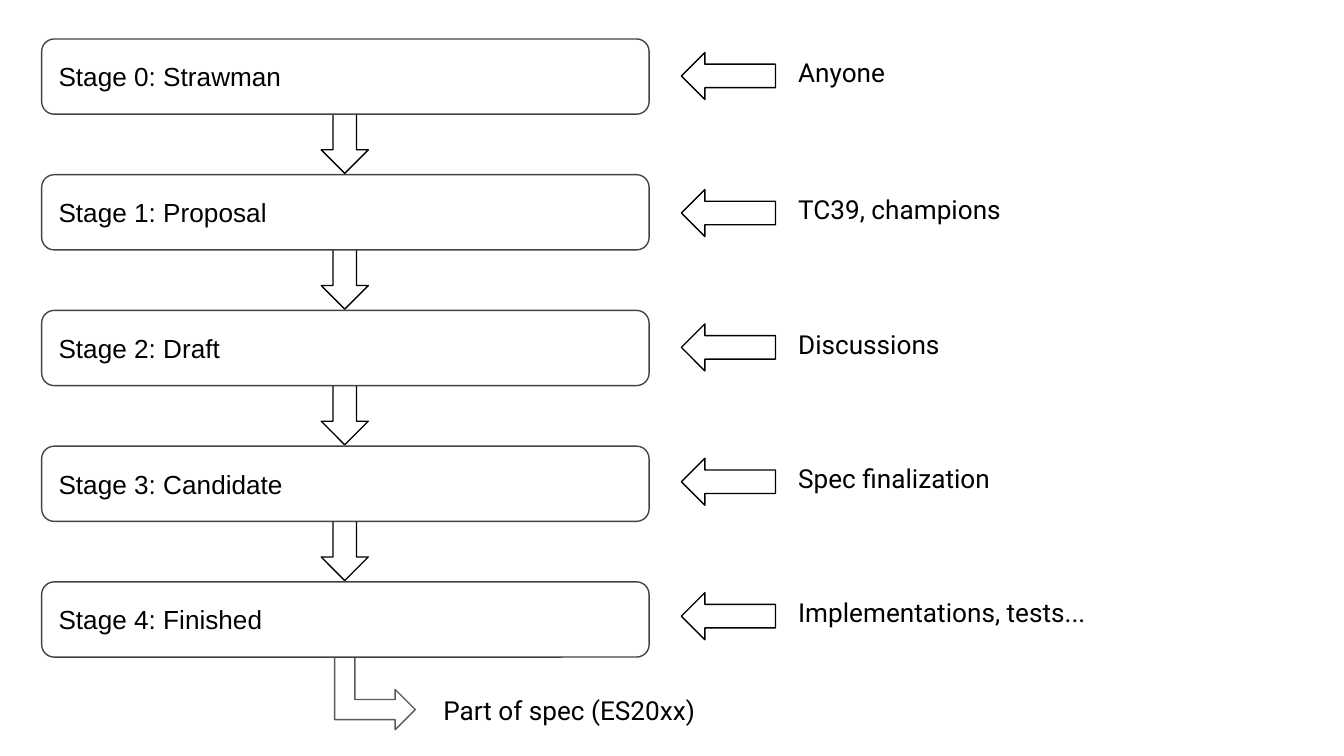
from pptx import Presentation
from pptx.dml.color import RGBColor
from pptx.enum.shapes import MSO_SHAPE
from pptx.enum.text import MSO_ANCHOR, PP_ALIGN
from pptx.util import Inches, Pt

BOX = MSO_SHAPE.ROUNDED_RECTANGLE
DOWN = MSO_SHAPE.DOWN_ARROW
LEFT = MSO_SHAPE.LEFT_ARROW
BENT = MSO_SHAPE.BENT_UP_ARROW
TOP, MIDDLE = MSO_ANCHOR.TOP, MSO_ANCHOR.MIDDLE
START = PP_ALIGN.LEFT

# stage, who acts, top of the side arrow, width of the side label
STAGES = [
    ("Stage 0: Strawman", "Anyone", 0.39, 0.9),
    ("Stage 1: Proposal", "TC39, champions", 1.41, 2.79),
    ("Stage 2: Draft", "Discussions", 2.41, 1.33),
    ("Stage 3: Candidate", "Spec finalization", 3.41, 2.7),
    ("Stage 4: Finished", "Implementations, tests...", 4.41, 2.7),
]
RESULT = "Part of spec (ES20xx)"

THEME = {
    "ink": RGBColor(0, 0, 0),
    "paper": RGBColor(255, 255, 255),
    "edge": RGBColor(0x43, 0x43, 0x43),
    "bend": RGBColor(0x59, 0x59, 0x59),
    "size": Pt(14),
    "line": Pt(0.75),
    "stage": "Arial",
    "label": "Roboto",
}

BOX_X, BOX_Y, BOX_W, BOX_H = 0.31, 0.29, 4.52, 0.56
STEP = 1.01
ARROW_L, ARROW_W = 0.7, 0.35
DOWN_X, DOWN_DY = 2.39, 0.3
SIDE_X, LABEL_X, LABEL_H, LABEL_DY = 5.07, 5.84, 0.49, 0.07


def add_shape(kind, x, y, w, h, line, fill=None):
    shape = slide.shapes.add_shape(kind, Inches(x), Inches(y), Inches(w), Inches(h))
    shape.shadow.inherit = False
    if fill is None:
        shape.fill.background()
    else:
        shape.fill.solid()
        shape.fill.fore_color.rgb = fill
    shape.line.color.rgb = line
    shape.line.width = THEME["line"]
    return shape


def set_text(shape, text, font, anchor):
    frame = shape.text_frame
    frame.text = text
    frame.word_wrap = True
    frame.vertical_anchor = anchor
    frame.margin_left = frame.margin_right = Inches(0.1)
    frame.margin_top = frame.margin_bottom = Inches(0.1)
    para = frame.paragraphs[0]
    para.alignment = START
    face = para.runs[0].font
    face.name = font
    face.size = THEME["size"]
    face.color.rgb = THEME["ink"]


def add_label(text, x, y, w):
    box = slide.shapes.add_textbox(Inches(x), Inches(y), Inches(w), Inches(LABEL_H))
    set_text(box, text, THEME["label"], TOP)


deck = Presentation()
deck.slide_width = Inches(10)
deck.slide_height = deck.slide_width * 9 // 16
slide = deck.slides.add_slide(deck.slide_layouts[6])

# Arrows come first so that the boxes cover their tails.
bend = add_shape(BENT, 2.44, 4.78, 0.7, 0.6, THEME["bend"])
bend.rotation = 90
for i in range(len(STAGES) - 1):
    y = BOX_Y + DOWN_DY + i * STEP
    add_shape(DOWN, DOWN_X, y, ARROW_W, ARROW_L, THEME["ink"])

for i, (stage, who, side_y, width) in enumerate(STAGES):
    box = add_shape(BOX, BOX_X, BOX_Y + i * STEP, BOX_W, BOX_H,
                    THEME["edge"], THEME["paper"])
    set_text(box, stage, THEME["stage"], MIDDLE)
    add_shape(LEFT, SIDE_X, side_y, ARROW_L, ARROW_W, THEME["ink"])
    add_label(who, LABEL_X, side_y - LABEL_DY, width)

add_label(RESULT, 3.2, 5.07, 2.7)

deck.save("out.pptx")
